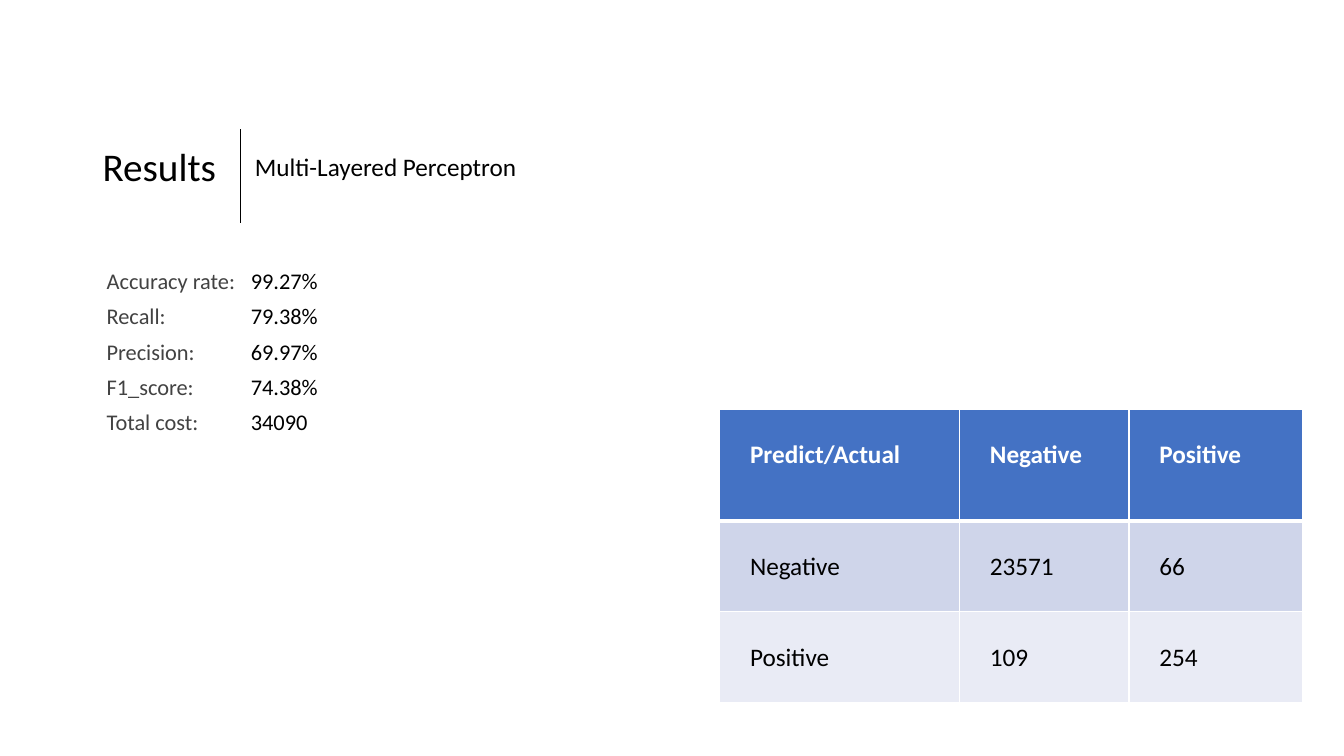
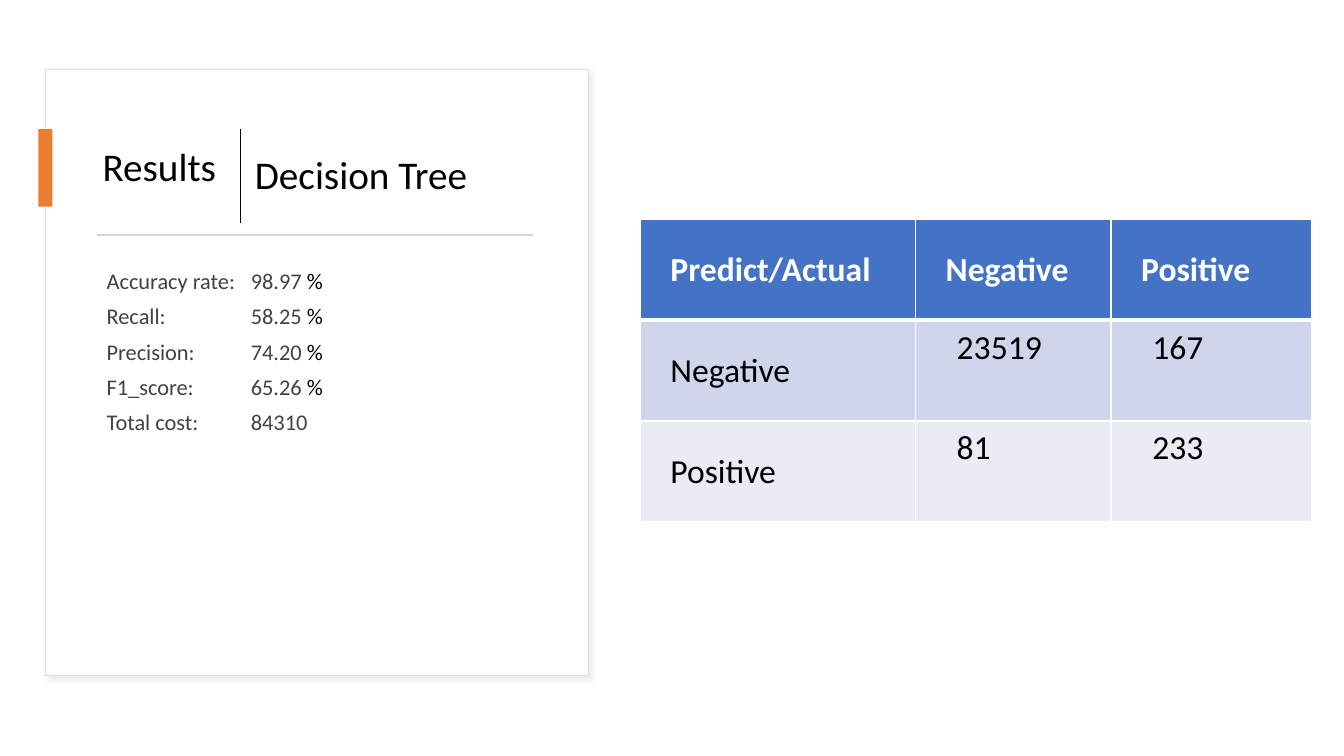
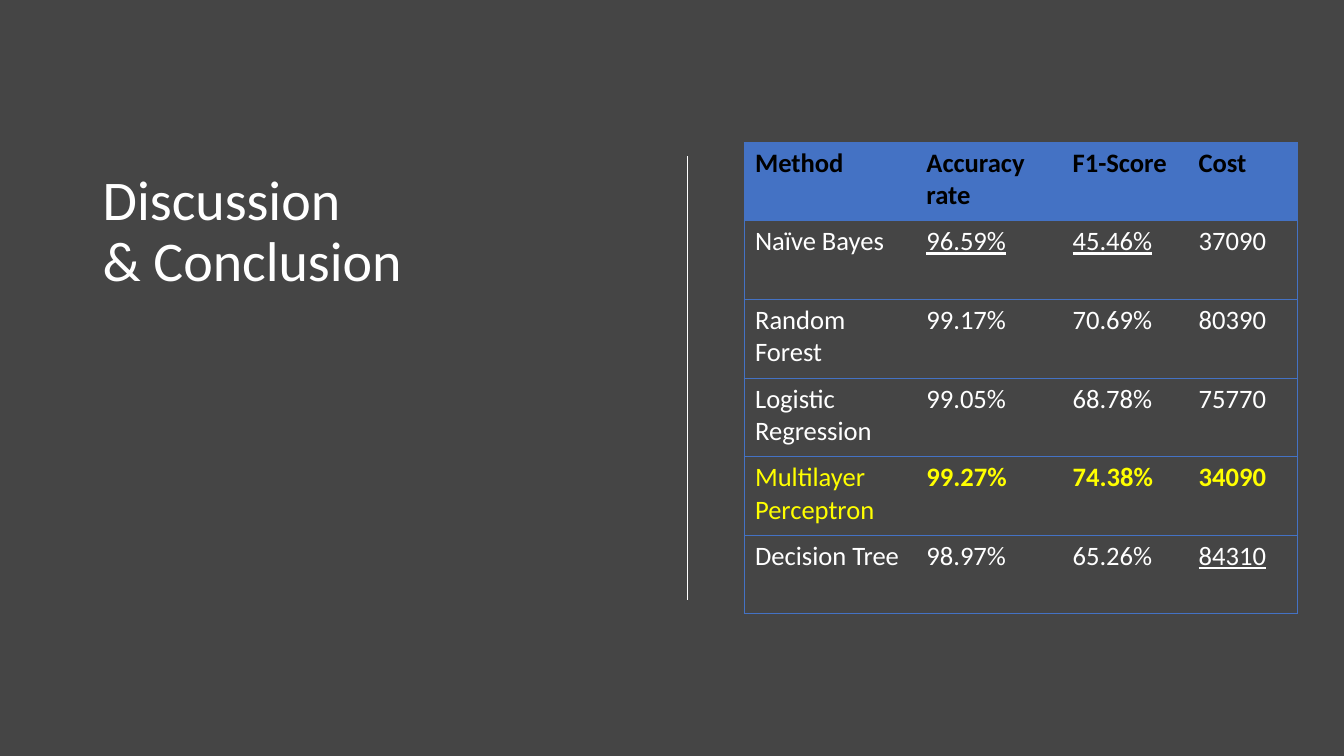
from dataclasses import dataclass, field

from lxml.etree import SubElement
from pptx import Presentation
from pptx.dml.color import RGBColor
from pptx.enum.shapes import MSO_CONNECTOR, MSO_SHAPE
from pptx.enum.text import MSO_ANCHOR
from pptx.oxml import parse_xml
from pptx.oxml.ns import nsdecls, qn
from pptx.util import Inches, Pt

SLIDE_WIDTH, SLIDE_HEIGHT = Inches(13.33), Inches(7.5)
FONT = "Calibri"
BLACK, WHITE, MUTED, YELLOW = "000000", "FFFFFF", "424242", "FFFF00"
BLUE, ORANGE, CHARCOAL = "4472C4", "ED7D31", "454545"
BANDS = ["CFD5EA", "E9EBF5"]
CONFUSION_LABELS = ["Negative", "Positive"]
VALUE_TAB = Inches(1.43)
WIDE_INSET, COUNT_INSET, SLIM_INSET = (0.3, 0.3), (0.41, 0.07), (0.11, 0.05)


@dataclass
class CellStyle:
    """Borders map a side (L, R, T, B) to a colour and a width in points."""
    color: str
    fill: str = ""
    bold: bool = False
    underline: bool = False
    inset: tuple = WIDE_INSET
    borders: dict = field(default_factory=dict)


def rgb(color):
    return RGBColor.from_string(color)


def across(share):
    """Length for a percentage of the slide's width."""
    return round(SLIDE_WIDTH * share / 100)


def down(share):
    """Length for a percentage of the slide's height."""
    return round(SLIDE_HEIGHT * share / 100)


def frame(left, top, width, height):
    return across(left), down(top), across(width), down(height)


def set_font(font, size, color, bold=False, underline=False):
    font.name, font.size, font.color.rgb = FONT, Pt(size), rgb(color)
    font.bold, font.underline = bold, underline


def add_slide(deck, background):
    slide = deck.slides.add_slide(deck.slide_layouts[6])
    slide.background.fill.solid()
    slide.background.fill.fore_color.rgb = rgb(background)
    return slide


def add_text(slide, box, text, size, color=BLACK, anchor=MSO_ANCHOR.TOP):
    text_frame = slide.shapes.add_textbox(*frame(*box)).text_frame
    text_frame.word_wrap = True
    text_frame.vertical_anchor = anchor
    paragraph = text_frame.paragraphs[0]
    paragraph.text = text
    paragraph.line_spacing = 0.9
    set_font(paragraph.font, size, color)


def add_metrics(slide, metrics):
    """List pairs of muted and black text, with the values at one tab stop."""
    text_frame = slide.shapes.add_textbox(*frame(7.2, 34.67, 32.93, 28.53)).text_frame
    text_frame.word_wrap = True
    for index, parts in enumerate(metrics):
        paragraph = text_frame.paragraphs[0] if index == 0 else text_frame.add_paragraph()
        paragraph.space_after = Pt(6)
        tabs = SubElement(paragraph._p.get_or_add_pPr(), qn("a:tabLst"))
        SubElement(tabs, qn("a:tab"), pos=str(VALUE_TAB), algn="l")
        for text, color in zip(parts, (MUTED, BLACK)):
            if text:
                run = paragraph.add_run()
                run.text = text
                set_font(run.font, 16, color)


def add_rectangle(slide, box, fill, outline=None):
    rectangle = slide.shapes.add_shape(MSO_SHAPE.RECTANGLE, *frame(*box))
    rectangle.shadow.inherit = False
    rectangle.fill.solid()
    rectangle.fill.fore_color.rgb = rgb(fill)
    if outline:
        rectangle.line.color.rgb = rgb(outline)
        rectangle.line.width = Pt(0.75)
    else:
        rectangle.line.fill.background()
    return rectangle


def add_panel(slide):
    """Card with a soft shadow, an accent tab and a rule under the heading."""
    card = add_rectangle(slide, (3.38, 9.2, 40.43, 80.13), WHITE, "DEDEDE")
    effects = card._element.spPr.find(qn("a:effectLst"))
    effects.append(parse_xml(
        f'<a:outerShdw {nsdecls("a")} blurRad="{Pt(4)}" dist="{Pt(3)}" dir="2700000">'
        '<a:srgbClr val="D9D9D9"><a:alpha val="50000"/></a:srgbClr></a:outerShdw>'))
    add_rectangle(slide, (2.85, 17.07, 1.05, 10.27), ORANGE)
    add_rectangle(slide, (7.2, 30.93, 32.48, 0.27), "D5D5D5")


def add_divider(slide, left, top, bottom, color, width):
    divider = slide.shapes.add_connector(
        MSO_CONNECTOR.STRAIGHT, across(left), down(top), across(left), down(bottom))
    divider.line.color.rgb = rgb(color)
    divider.line.width = Pt(width)
    SubElement(divider._element.spPr, qn("a:effectLst"))


def set_borders(cell, borders):
    properties = cell._tc.get_or_add_tcPr()
    for index, side in enumerate("LRTB"):
        color, width = borders.get(side, (None, 0))
        paint = (f'<a:solidFill><a:srgbClr val="{color}"/></a:solidFill>'
                 if color else "<a:noFill/>")
        properties.insert(index, parse_xml(
            f'<a:ln{side} {nsdecls("a")} w="{Pt(width)}">{paint}</a:ln{side}>'))


def style_cell(cell, text, size, style):
    cell.margin_left = cell.margin_right = Inches(style.inset[0])
    cell.margin_top = cell.margin_bottom = Inches(style.inset[1])
    if style.fill:
        cell.fill.solid()
        cell.fill.fore_color.rgb = rgb(style.fill)
    else:
        cell.fill.background()
    set_borders(cell, style.borders)
    paragraph = cell.text_frame.paragraphs[0]
    paragraph.text = text
    set_font(paragraph.font, size, style.color, style.bold, style.underline)


def add_grid(slide, left, top, widths, heights, rows, size, style_at):
    """Table whose cell styles come from style_at(row, column)."""
    table = slide.shapes.add_table(
        len(heights), len(widths),
        *frame(left, top, sum(widths), sum(heights))).table
    table.first_row = table.horz_banding = False
    for column, width in zip(table.columns, widths):
        column.width = across(width)
    for row, height in zip(table.rows, heights):
        row.height = down(height)
    for row, texts in enumerate(rows):
        for column, text in enumerate(texts):
            style_cell(table.cell(row, column), text, size, style_at(row, column))


def add_confusion_matrix(slide, left, top, widths, heights, counts, size, count_inset):
    def style_at(row, column):
        borders = {side: (WHITE, 1) for side in "LRTB"}
        if row == 0:
            borders["B"] = (WHITE, 3)
            return CellStyle(WHITE, BLUE, bold=True, borders=borders)
        if row == 1:
            borders["T"] = (WHITE, 3)
        inset = count_inset if column else WIDE_INSET
        return CellStyle(BLACK, BANDS[row - 1], inset=inset, borders=borders)

    rows = [["Predict/Actual", *CONFUSION_LABELS]]
    rows += [[label, *line] for label, line in zip(CONFUSION_LABELS, counts)]
    add_grid(slide, left, top, widths, heights, rows, size, style_at)


def add_result_heading(slide, method, size):
    add_text(slide, (6.9, 14.27, 33.3, 16.13), "Results", 28, anchor=MSO_ANCHOR.MIDDLE)
    add_text(slide, (18.23, 19.87, 22.35, 7.47), method, size)
    add_divider(slide, 17.85, 17.07, 29.47, BLACK, 0.5)


def add_comparison(slide):
    rows = [
        ["Method", "Accuracy rate", "F1-Score", "Cost"],
        ["Naïve Bayes", "96.59%", "45.46%", "37090"],
        ["Random Forest", "99.17%", "70.69%", "80390"],
        ["Logistic Regression", "99.05%", "68.78%", "75770"],
        ["Multilayer Perceptron", "99.27%", "74.38%", "34090"],
        ["Decision Tree", "98.97%", "65.26%", "84310"],
    ]
    widths = [12.75, 10.88, 9.38, 8.18]
    best_row = 4
    worst_cells = {(1, 1), (1, 2), (5, 3)}

    def style_at(row, column):
        sides = "TB" + ("L" if column == 0 else "")
        sides += "R" if column == len(widths) - 1 else ""
        borders = {side: (BLUE, 0.5) for side in sides}
        if row == 0:
            return CellStyle(BLACK, BLUE, bold=True, inset=SLIM_INSET, borders=borders)
        best = row == best_row
        return CellStyle(YELLOW if best else WHITE, bold=best and column > 0,
                         underline=(row, column) in worst_cells,
                         inset=SLIM_INSET, borders=borders)

    add_grid(slide, 55.36, 18.8, widths, [10.4] * len(rows), rows, 19, style_at)


def build_perceptron(deck):
    slide = add_slide(deck, WHITE)
    add_result_heading(slide, "Multi-Layered Perceptron", 18)
    add_metrics(slide, [
        ("Accuracy rate:\t", "99.27%"),
        ("Recall:\t", "79.38%"),
        ("Precision:\t", "69.97%"),
        ("F1_score:\t", "74.38%"),
        ("Total cost:\t", "34090"),
    ])
    add_confusion_matrix(slide, 53.56, 54.13, [17.85, 12.6, 12.95], [14.8, 11.9, 11.9],
                         [["23571", "66"], ["109", "254"]], 18, WIDE_INSET)


def build_decision_tree(deck):
    slide = add_slide(deck, WHITE)
    add_panel(slide)
    add_result_heading(slide, "Decision Tree", 28)
    add_metrics(slide, [
        ("Accuracy rate:\t98.97 ", "%"),
        ("Recall:\t58.25 ", "%"),
        ("Precision:\t74.20 ", "%"),
        ("F1_score:\t65.26 ", "%"),
        ("Total cost:\t84310", ""),
    ])
    add_confusion_matrix(slide, 47.63, 29, [20.48, 14.55, 14.93], [13.3] * 3,
                         [["23519", "167"], ["81", "233"]], 24, COUNT_INSET)


def build_conclusion(deck):
    slide = add_slide(deck, CHARCOAL)
    add_text(slide, (6.9, 13.6, 40.13, 25.87), "Discussion\v& Conclusion", 40, WHITE,
             MSO_ANCHOR.BOTTOM)
    add_divider(slide, 51.16, 20.67, 79.33, WHITE, 1.25)
    add_comparison(slide)


def main():
    deck = Presentation()
    deck.slide_width, deck.slide_height = SLIDE_WIDTH, SLIDE_HEIGHT
    build_perceptron(deck)
    build_decision_tree(deck)
    build_conclusion(deck)
    deck.save("out.pptx")


if __name__ == "__main__":
    main()
